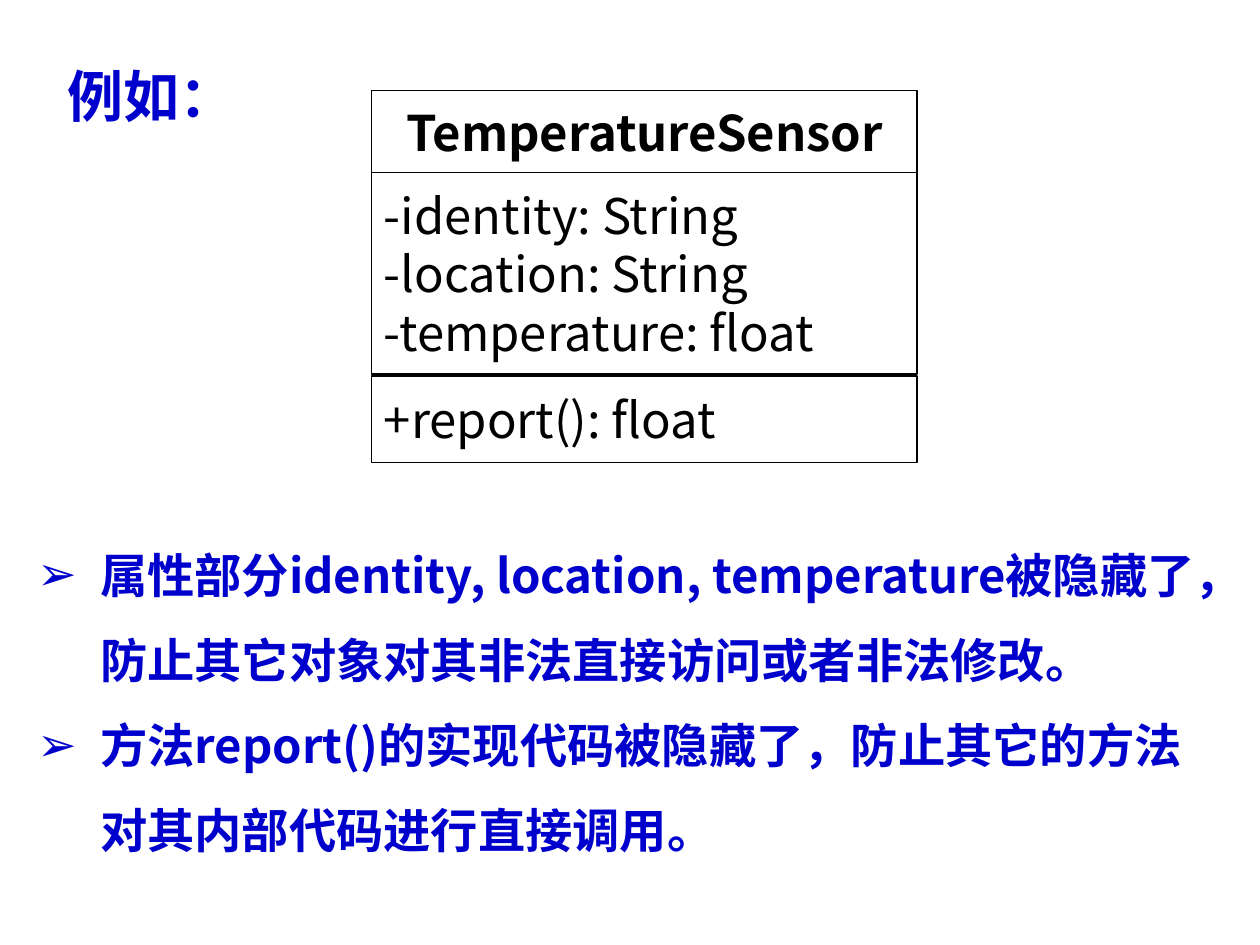
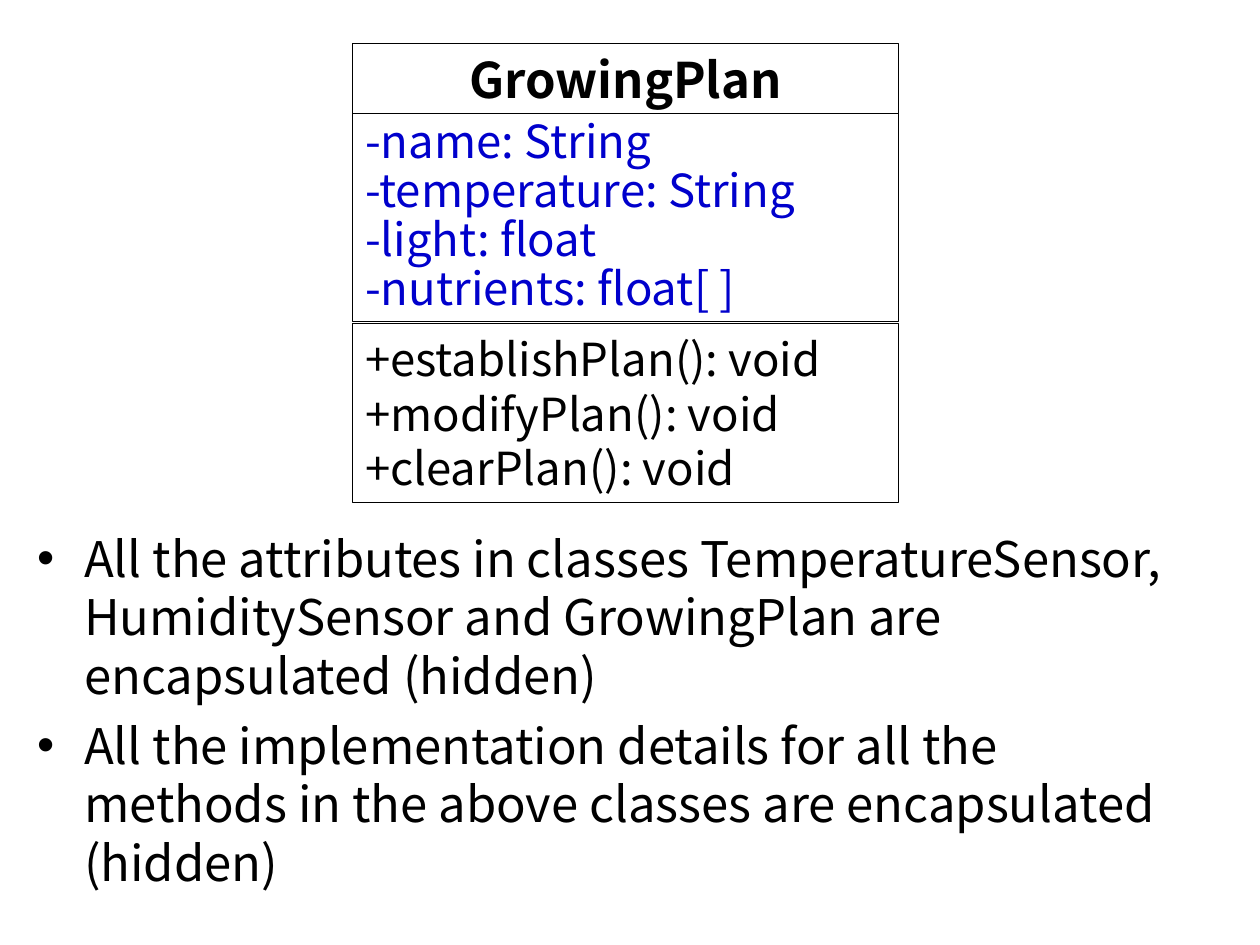
from lxml import etree
from pptx import Presentation
from pptx.dml.color import RGBColor
from pptx.enum.shapes import MSO_SHAPE as SHAPE
from pptx.enum.text import MSO_ANCHOR as ANCHOR, PP_ALIGN as ALIGN
from pptx.oxml.ns import qn
from pptx.util import Cm, Pt

FONT = "Noto Sans CJK SC"
BLACK, WHITE, BLUE = "000000", "FFFFFF", "0000CC"
CLASS_W = 11
METHODS_GAP = 0.04


def rgb(color):
    return RGBColor.from_string(color)


def add_run(p, text, size, color, bold):
    r = p.add_run()
    r.text = text
    r.font.size = Pt(size)
    r.font.bold = bold
    r.font.color.rgb = rgb(color)
    r.font.name = FONT
    ea = etree.SubElement(r.font._element, qn("a:ea"))
    ea.set("typeface", FONT)


def add_lines(tf, lines, size, color=BLACK, bold=False, align=ALIGN.LEFT,
              spacing=1.0, before=0):
    for i, line in enumerate(lines):
        p = tf.paragraphs[0] if i == 0 else tf.add_paragraph()
        p.alignment = align
        p.line_spacing = spacing
        p.space_before = Pt(before)
        add_run(p, line, size, color, bold)


def set_bullet(p, char, color, indent):
    pPr = p._p.get_or_add_pPr()
    pPr.set("marL", str(Cm(indent)))
    pPr.set("indent", str(-Cm(indent)))
    clr = etree.SubElement(pPr, qn("a:buClr"))
    etree.SubElement(clr, qn("a:srgbClr")).set("val", color)
    etree.SubElement(pPr, qn("a:buFont")).set("typeface", "Arial")
    etree.SubElement(pPr, qn("a:buChar")).set("char", char)


def add_text(s, x, y, w, h, lines, size, wrap=True, **style):
    tf = s.shapes.add_textbox(Cm(x), Cm(y), Cm(w), Cm(h)).text_frame
    tf.word_wrap = wrap
    add_lines(tf, lines, size, **style)
    return tf


def add_bullets(s, x, y, w, h, lines, size, char, indent, color=BLACK, **style):
    tf = add_text(s, x, y, w, h, lines, size, color=color, **style)
    for p in tf.paragraphs:
        set_bullet(p, char, color, indent)


def add_compartment(s, x, y, h, lines, size, **style):
    sp = s.shapes.add_shape(SHAPE.RECTANGLE, Cm(x), Cm(y), Cm(CLASS_W), Cm(h))
    sp.shadow.inherit = False
    sp.fill.solid()
    sp.fill.fore_color.rgb = rgb(WHITE)
    sp.line.color.rgb = rgb(BLACK)
    sp.line.width = Pt(0.75)
    tf = sp.text_frame
    tf.word_wrap = True
    tf.vertical_anchor = ANCHOR.MIDDLE
    add_lines(tf, lines, size, **style)


def add_class(s, x, y, heights, name, attributes, methods, size, **attribute_style):
    name_h, attributes_h, methods_h = heights
    attributes_y = y + name_h
    methods_y = attributes_y + attributes_h + METHODS_GAP
    add_compartment(s, x, y, name_h, [name], 28, bold=True, align=ALIGN.CENTER)
    add_compartment(s, x, attributes_y, attributes_h, attributes, size,
                    **attribute_style)
    add_compartment(s, x, methods_y, methods_h, methods, size)


def sensor_slide(s):
    add_class(s, 7.49, 1.83, (1.65, 4.06, 1.75), "TemperatureSensor",
              ["-identity: String", "-location: String", "-temperature: float"],
              ["+report(): float"], 28)
    add_bullets(s, 0.5, 10.31, 24.4, 7.14, [
        "属性部分identity, location, temperature被隐藏了，防止其它对象对其非法直接访问或者非法修改。",
        "方法report()的实现代码被隐藏了，防止其它的方法对其内部代码进行直接调用。",
    ], 27, "➢", 1.27, color=BLUE, bold=True, spacing=1.5)
    add_text(s, 1.12, 1.12, 3.89, 1.63, ["例如："], 32, wrap=False,
             color=BLUE, bold=True)


def plan_slide(s):
    add_bullets(s, 0.5, 10.52, 24, 8, [
        "All the attributes in classes TemperatureSensor, HumiditySensor "
        "and GrowingPlan are encapsulated (hidden)",
        "All the implementation details for all the methods in the above "
        "classes are encapsulated (hidden)",
    ], 28, "•", 0.95, before=6)
    add_class(s, 7.11, 0.88, (1.41, 4.19, 3.61), "GrowingPlan",
              ["-name: String", "-temperature: String", "-light: float",
               "-nutrients: float[ ]"],
              ["+establishPlan(): void", "+modifyPlan(): void",
               "+clearPlan(): void"], 26, color=BLUE, spacing=0.9)


def main():
    prs = Presentation()
    prs.slide_width, prs.slide_height = Cm(25.4), Cm(19.05)
    for build in (sensor_slide, plan_slide):
        build(prs.slides.add_slide(prs.slide_layouts[6]))
    prs.save("out.pptx")


if __name__ == "__main__":
    main()
